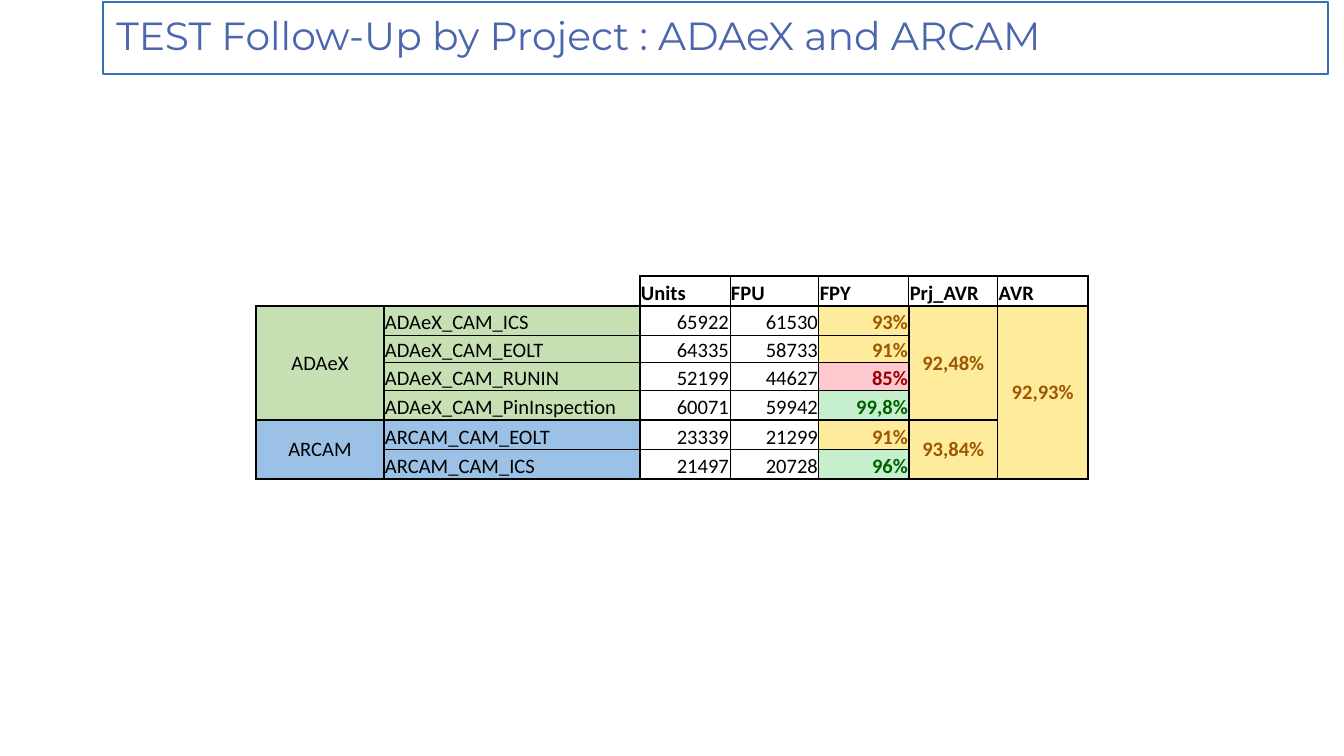
from itertools import product

from lxml.etree import SubElement
from pptx import Presentation
from pptx.dml.color import RGBColor
from pptx.enum.text import MSO_ANCHOR, PP_ALIGN
from pptx.oxml.ns import qn
from pptx.util import Emu, Pt

SCALE = 914400 / 134.4

BLACK = RGBColor(0x00, 0x00, 0x00)
TITLE_BLUE = RGBColor(0x4A, 0x66, 0xAC)
FRAME_BLUE = RGBColor(0x34, 0x6F, 0xB7)
PROJECT_GREEN = RGBColor(0xC6, 0xE0, 0xB4)
PROJECT_BLUE = RGBColor(0x9B, 0xC2, 0xE6)
AMBER = (RGBColor(0xFF, 0xEB, 0x9C), RGBColor(0x9C, 0x57, 0x00))
RED = (RGBColor(0xFF, 0xC7, 0xCE), RGBColor(0x9C, 0x00, 0x06))
GREEN = (RGBColor(0xC6, 0xEF, 0xCE), RGBColor(0x00, 0x61, 0x00))

TITLE_FONT = {"name": "Montserrat", "size": Pt(21)}
CELL_FONT = {"name": "Calibri", "size": Pt(11)}

COLUMN_WIDTHS = [128, 256, 90, 89, 90, 89, 90]
ROW_HEIGHTS = [30, 29, 28, 28, 29, 30, 29]
COLUMN_EDGES = [1, 1, 1, 0.5, 0.5, 1, 0.5, 1]
ROW_EDGES = [1, 1, 0.5, 0.5, 0.5, 1, 0.5, 1]

HEADERS = ["Units", "FPU", "FPY", "Prj_AVR", "AVR"]
TOTAL_AVERAGE = "92,93%"
PROJECTS = [
    ("ADAeX", PROJECT_GREEN, "92,48%", [
        ("ADAeX_CAM_ICS", "65922", "61530", "93%", AMBER),
        ("ADAeX_CAM_EOLT", "64335", "58733", "91%", AMBER),
        ("ADAeX_CAM_RUNIN", "52199", "44627", "85%", RED),
        ("ADAeX_CAM_PinInspection", "60071", "59942", "99,8%", GREEN),
    ]),
    ("ARCAM", PROJECT_BLUE, "93,84%", [
        ("ARCAM_CAM_EOLT", "23339", "21299", "91%", AMBER),
        ("ARCAM_CAM_ICS", "21497", "20728", "96%", GREEN),
    ]),
]


def px(length):
    return Emu(round(length * SCALE))


def apply_format(target, values):
    for name, value in values.items():
        setattr(target, name, value)


def add_span(para, text, font, color, bold=False):
    span = para.add_run()
    span.text = text
    apply_format(span.font, {**font, "bold": bold})
    span.font.color.rgb = color


def add_title(page, text):
    box = page.shapes.add_textbox(px(103), px(2), px(1225), px(72))
    box.line.color.rgb = FRAME_BLUE
    box.line.width = Pt(0.75)
    frame = box.text_frame
    apply_format(frame, {"word_wrap": True, "vertical_anchor": MSO_ANCHOR.MIDDLE})
    para = frame.paragraphs[0]
    para.line_spacing = 0.9
    add_span(para, text, TITLE_FONT, TITLE_BLUE)


def set_borders(cell, widths):
    properties = cell._tc.get_or_add_tcPr()
    for index, (side, width) in enumerate(zip("LRTB", widths)):
        line = SubElement(properties, qn(f"a:ln{side}"), w=str(Pt(width)))
        properties.insert(index, line)
        if width:
            fill = SubElement(line, qn("a:solidFill"))
            SubElement(fill, qn("a:srgbClr"), val=str(BLACK))
        else:
            SubElement(line, qn("a:noFill"))


def style_cell(cell, fill, anchor, widths):
    apply_format(cell, {
        "margin_left": px(1), "margin_right": px(1),
        "margin_top": px(1), "margin_bottom": 0, "vertical_anchor": anchor,
    })
    if fill is None:
        cell.fill.background()
    else:
        cell.fill.solid()
        cell.fill.fore_color.rgb = fill
    set_borders(cell, widths)


def fill_cell(table, row, column, text="", rows=1, fill=None, color=BLACK,
              bold=False, align=PP_ALIGN.LEFT, widths=None):
    widths = widths or (COLUMN_EDGES[column], COLUMN_EDGES[column + 1],
                        ROW_EDGES[row], ROW_EDGES[row + rows])
    anchor = MSO_ANCHOR.MIDDLE if rows > 1 else MSO_ANCHOR.BOTTOM
    for part in range(row, row + rows):
        style_cell(table.cell(part, column), fill, anchor, widths)
    cell = table.cell(row, column)
    if rows > 1:
        cell.merge(table.cell(row + rows - 1, column))
    para = cell.text_frame.paragraphs[0]
    para.alignment = align
    if text:
        add_span(para, text, CELL_FONT, color, bold)
    else:
        SubElement(para._p, qn("a:endParaRPr"), sz="1100")


def fill_header(table):
    fill_cell(table, 0, 0, widths=(0, 0, 0, 1))
    fill_cell(table, 0, 1, widths=(0, 1, 0, 1))
    for column, text in enumerate(HEADERS, 2):
        left = 1 if column == 2 else 0.5
        right = 1 if column == 6 else 0.5
        fill_cell(table, 0, column, text, bold=True, widths=(left, right, 1, 1))


def fill_average(table, row, column, text, rows):
    fill, color = AMBER
    fill_cell(table, row, column, text, rows, fill, color, True, PP_ALIGN.CENTER)


def fill_project(table, first, name, tint, average, stations):
    count = len(stations)
    fill_cell(table, first, 0, name, count, tint, align=PP_ALIGN.CENTER)
    fill_average(table, first, 5, average, count)
    for row, (station, units, passed, rate, (fill, color)) in enumerate(stations, first):
        fill_cell(table, row, 1, station, fill=tint)
        for column, text in enumerate((units, passed), 2):
            fill_cell(table, row, column, text, align=PP_ALIGN.RIGHT)
        fill_cell(table, row, 4, rate, fill=fill, color=color, bold=True,
                  align=PP_ALIGN.RIGHT)


def add_yield_table(page):
    frame = page.shapes.add_table(len(ROW_HEIGHTS), len(COLUMN_WIDTHS), px(256), px(276),
                                  px(sum(COLUMN_WIDTHS)), px(sum(ROW_HEIGHTS)))
    table = frame.table
    apply_format(table, {"first_row": False, "horz_banding": False})
    for column, width in zip(table.columns, COLUMN_WIDTHS):
        column.width = px(width)
    for row, height in zip(table.rows, ROW_HEIGHTS):
        row.height = px(height)
    fill_header(table)
    first = 1
    for name, tint, average, stations in PROJECTS:
        fill_project(table, first, name, tint, average, stations)
        first += len(stations)
    fill_average(table, 1, 6, TOTAL_AVERAGE, first - 1)
    for row, column in product(range(first), range(len(COLUMN_WIDTHS))):
        cell = table.cell(row, column)
        if cell.is_spanned:
            SubElement(cell.text_frame.paragraphs[0]._p, qn("a:endParaRPr"), sz="1100")


def main():
    deck = Presentation()
    apply_format(deck, {"slide_width": px(1344), "slide_height": px(756)})
    page = deck.slides.add_slide(deck.slide_layouts[6])
    add_title(page, "TEST Follow-Up by Project : ADAeX and ARCAM")
    add_yield_table(page)
    deck.save("out.pptx")


if __name__ == "__main__":
    main()
